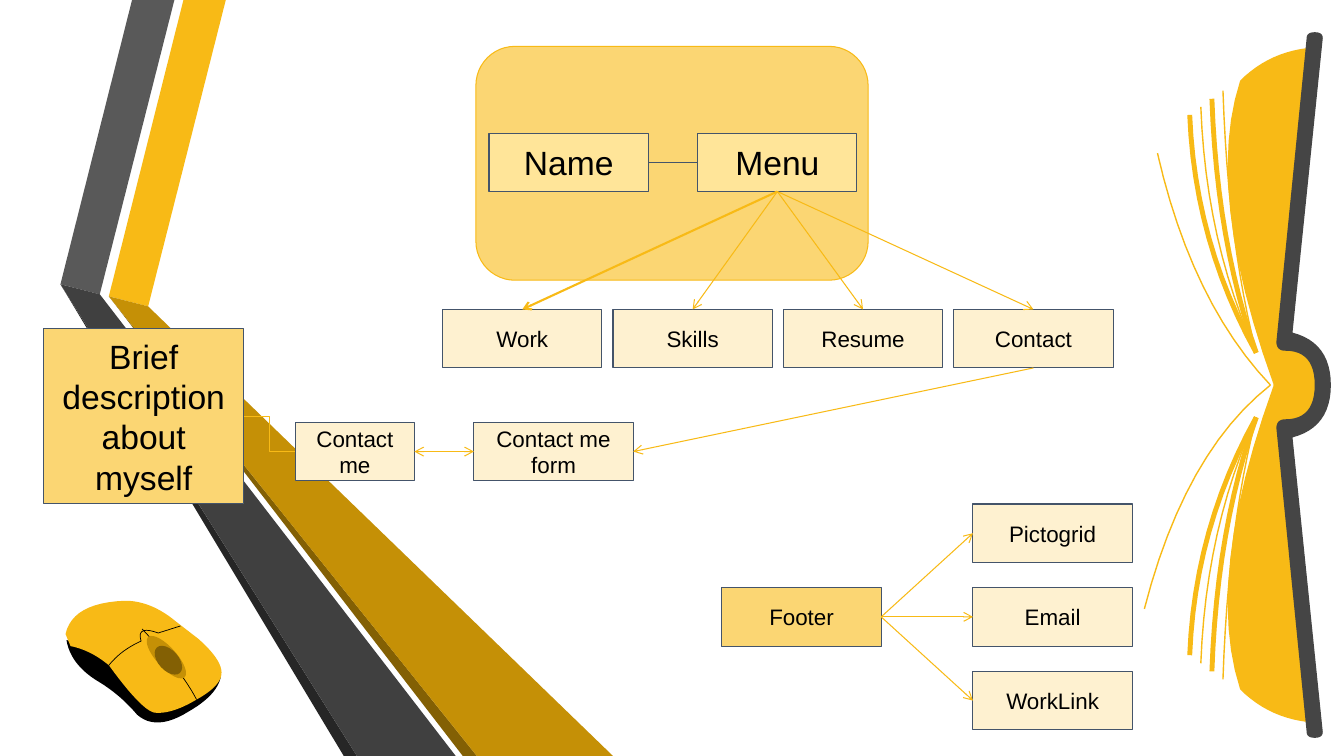
from dataclasses import dataclass

from lxml.etree import SubElement
from pptx import Presentation
from pptx.dml.color import RGBColor as Rgb
from pptx.enum.shapes import MSO_CONNECTOR as Route, MSO_SHAPE as Preset
from pptx.enum.text import MSO_ANCHOR as Anchor, PP_ALIGN as Align
from pptx.oxml.ns import qn
from pptx.util import Inches, Pt


@dataclass(frozen=True)
class Theme:
    """Colours and type sizes of the site map."""
    gold: str = "F8BA16"
    panel: str = "FBD673"
    header: str = "FFE599"
    leaf: str = "FEF1D0"
    edge: str = "44546A"
    ink: str = "000000"
    ochre: str = "C59006"
    brown: str = "836004"
    steel: str = "595959"
    charcoal: str = "404040"
    coal: str = "262626"
    cover: str = "454545"
    font: str = "Arial"
    large: int = 24
    small: int = 16


THEME = Theme()
COLUMNS, ROWS = 13.33, 7.5
BOX_W, BOX_H = 1.58, 0.58
TOP, LEFT, BOTTOM, RIGHT = range(4)
BOOK_AXIS = 3.82

BLOCK_HALF = [(12.63, 3.81), (11.94, 1.9, 12.3, 0.8), (12.6, 0.5, 13.04, 0.47),
              (12.72, 3.38), (13.1, 3.38, 13.1, 3.82)]
COVER_HALF = [(13.04, 3.82), (13.04, 3.48, 12.75, 3.48), (12.66, 3.48, 12.66, 3.39),
              (12.96, 0.38), (12.96, 0.32, 13.04, 0.32), (13.12, 0.32, 13.12, 0.38),
              (12.82, 3.3), (13.2, 3.4, 13.2, 3.82)]
MOUSE_BASE = [(0.66, 6.35), (0.7, 6.6, 0.99, 6.77), (1.2, 6.9, 1.36, 7.09),
              (1.55, 7.26, 1.87, 7.06), (2.15, 6.9, 2.19, 6.72)]
MOUSE_BODY = [(0.65, 6.29), (0.72, 5.98, 1.24, 5.96), (1.5, 5.96, 1.75, 6.17), (1.97, 6.34),
              (2.24, 6.58, 2.19, 6.72), (2.15, 6.83, 1.95, 6.94), (1.7, 7.09, 1.53, 7.07),
              (1.4, 7.04, 1.08, 6.6), (0.9, 6.45, 0.7, 6.41)]
MOUSE_SEAMS = [[(1.08, 6.6), (1.2, 6.45, 1.4, 6.36), (1.35, 6.2, 1.57, 6.28), (1.79, 6.21)],
               [(1.41, 6.24), (1.8, 6.65, 1.95, 6.94)]]


def cells(*counts):
    """Turn grid columns or rows into lengths."""
    return [Inches(count) for count in counts]


def trace(outline, steps=12):
    """Turn corners and curves, given as control and end, into points."""
    points = []
    for *control, x, y in outline:
        if not control:
            points.append((x, y))
            continue
        start = points[-1]
        for index in range(1, steps + 1):
            t = index / steps
            points.append(tuple((1 - t) ** 2 * a + 2 * t * (1 - t) * b + t * t * c
                                for a, b, c in zip(start, control, (x, y))))
    return points


def mirror(points):
    """Reflect points across the axis of the book."""
    return [(x, 2 * BOOK_AXIS - y) for x, y in points]


def paint(shape, fill=None, line=None, weight=0.75):
    """Give a shape an optional flat fill and an optional line."""
    shape.shadow.inherit = False
    if fill:
        shape.fill.solid()
        shape.fill.fore_color.rgb = Rgb.from_string(fill)
    else:
        shape.fill.background()
    if line:
        shape.line.color.rgb = Rgb.from_string(line)
        shape.line.width = Pt(weight)
    else:
        shape.line.fill.background()


def add_outline(group, points, fill=None, line=None, weight=0.75):
    """Draw points as a filled outline, or as an open stroke without a fill."""
    start, *others = [cells(*point) for point in points]
    builder = group.shapes.build_freeform(*start)
    builder.add_line_segments(others, close=bool(fill))
    paint(builder.convert_to_shape(), fill, line, weight)


def add_ribbon(page, fold, top, bottoms, colors):
    """Draw a ribbon that folds at a point and widens to the bottom edge."""
    group = page.shapes.add_group_shape()
    x, y = fold
    crease = (x + 0.39, y + 0.1)
    outer, inner, far = [(bottom, ROWS) for bottom in bottoms]
    upper, shade, lower = colors
    add_outline(group, [fold, crease, (top + 0.42, 0), (top, 0)], upper)
    add_outline(group, [fold, outer, inner], shade)
    add_outline(group, [fold, inner, far, crease], lower)


def add_book(page):
    """Draw the open book from mirrored halves and a fan of pages."""
    group = page.shapes.add_group_shape()
    for half, color in ((BLOCK_HALF, THEME.gold), (COVER_HALF, THEME.cover)):
        points = trace(half)
        add_outline(group, points + mirror(points)[::-1], color)
    for index in range(4):
        x, y = 12.13 - 0.11 * index, 0.9 + 0.08 * index
        curve = trace([(x, y), (x + 0.05, 2.4, 12.46, 3.5)])
        for points in (curve, mirror(curve)):
            add_outline(group, points, line=THEME.gold, weight=3.5 if index % 2 else 1)
    outer = trace([(11.48, 1.52), (11.82, 3, 12.6, 3.82)])
    lower = mirror(trace([(11.35, 1.6), (11.75, 3.15, 12.6, 3.82)]))
    for points in (outer, lower):
        add_outline(group, points, line=THEME.gold, weight=1)


def add_mouse(page):
    """Draw the computer mouse with its seams and wheel."""
    group = page.shapes.add_group_shape()
    for outline, color in ((MOUSE_BASE, THEME.ink), (MOUSE_BODY, THEME.gold)):
        add_outline(group, trace(outline), color)
    for seam in MOUSE_SEAMS:
        add_outline(group, trace(seam), line=THEME.ink, weight=0.5)
    for x, y, length, color in ((1.65, 6.52, 0.54, THEME.ochre), (1.67, 6.55, 0.34, THEME.brown)):
        wheel = group.shapes.add_shape(Preset.OVAL, *cells(x - length / 2, y - 0.1, length, 0.2))
        wheel.rotation = 48
        paint(wheel, color)


def add_box(page, text, left, top, fill=THEME.leaf, size=THEME.small, width=BOX_W, height=BOX_H):
    """Add a labelled box, one paragraph for each line of text."""
    box = page.shapes.add_shape(Preset.RECTANGLE, *cells(left, top, width, height))
    paint(box, fill, THEME.edge)
    frame = box.text_frame
    frame.word_wrap = True
    frame.vertical_anchor = Anchor.MIDDLE
    frame.margin_left = frame.margin_right = frame.margin_top = frame.margin_bottom = Inches(0.13)
    for index, label in enumerate(text.split("\n")):
        para = frame.add_paragraph() if index else frame.paragraphs[0]
        para.alignment = Align.CENTER
        span = para.add_run()
        span.text = label
        span.font.name, span.font.size = THEME.font, Pt(size)
        span.font.color.rgb = Rgb.from_string(THEME.ink)
    return box


def add_link(page, source, source_side, target, target_side, ends=("tailEnd",),
             route=Route.STRAIGHT, color=THEME.gold, weight=0.75):
    """Connect the sides of two boxes, with arrowheads at the named ends."""
    link = page.shapes.add_connector(route, 0, 0, 0, 0)
    link.begin_connect(source, source_side)
    link.end_connect(target, target_side)
    link.line.color.rgb = Rgb.from_string(color)
    link.line.width = Pt(weight)
    properties = link.element.spPr
    for end in ends:
        SubElement(properties.find(qn("a:ln")), qn(f"a:{end}"), type="arrow")
    SubElement(properties, qn("a:effectLst"))


def main():
    """Build the site map slide."""
    deck = Presentation()
    deck.slide_width, deck.slide_height = cells(COLUMNS, ROWS)
    page = deck.slides.add_slide(deck.slide_layouts[6])
    add_ribbon(page, (1.08, 2.94), 1.82, (4.59, 4.73, 6.08),
               (THEME.gold, THEME.brown, THEME.ochre))
    add_ribbon(page, (0.6, 2.82), 1.31, (3.41, 3.54, 4.52),
               (THEME.steel, THEME.coal, THEME.charcoal))

    panel = page.shapes.add_shape(Preset.ROUNDED_RECTANGLE, *cells(4.72, 0.46, 3.89, 2.32))
    paint(panel, THEME.panel, THEME.gold)
    name = add_box(page, "Name", 4.85, 1.32, THEME.header, THEME.large)
    menu = add_box(page, "Menu", 6.92, 1.32, THEME.header, THEME.large)
    add_link(page, name, RIGHT, menu, LEFT, (), Route.ELBOW, THEME.edge)
    for index, label in enumerate(("Work", "Skills", "Resume", "Contact")):
        entry = add_box(page, label, 4.39 + 1.69 * index, 3.07)
        add_link(page, menu, BOTTOM, entry, TOP, weight=0.75 if index else 1.5)

    about = add_box(page, "Brief description about myself", 0.43, 3.26,
                    THEME.panel, THEME.large, 1.99, 1.74)
    contact = add_box(page, "Contact me", 2.93, 4.19, width=1.18)
    form = add_box(page, "Contact me\nform", 4.7, 4.19)
    add_link(page, about, RIGHT, contact, LEFT, (), Route.ELBOW)
    add_link(page, entry, BOTTOM, form, RIGHT)
    add_link(page, form, LEFT, contact, RIGHT, ("headEnd", "tailEnd"))

    footer = add_box(page, "Footer", 7.16, 5.83, THEME.panel)
    for index, label in enumerate(("Pictogrid", "Email", "WorkLink")):
        channel = add_box(page, label, 9.65, 5 + 0.83 * index)
        add_link(page, footer, RIGHT, channel, LEFT)

    add_book(page)
    add_mouse(page)
    deck.save("out.pptx")


if __name__ == "__main__":
    main()
